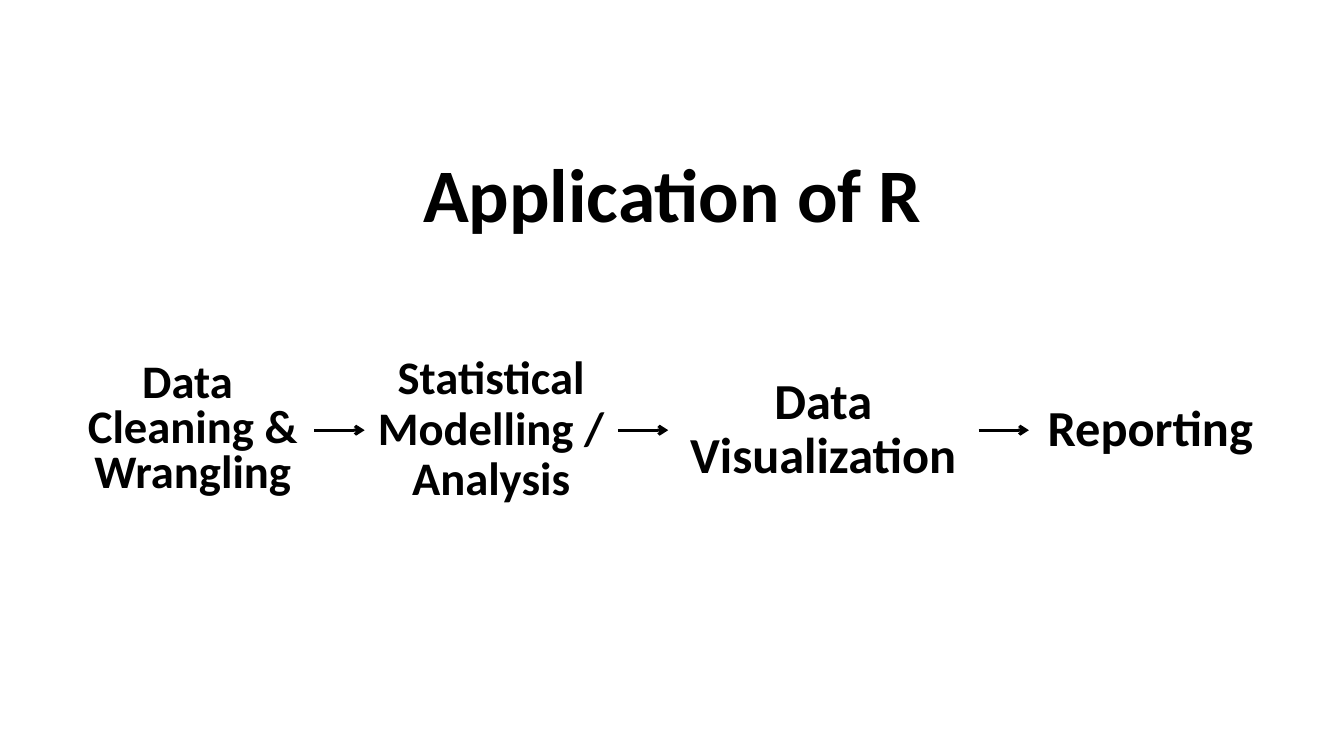
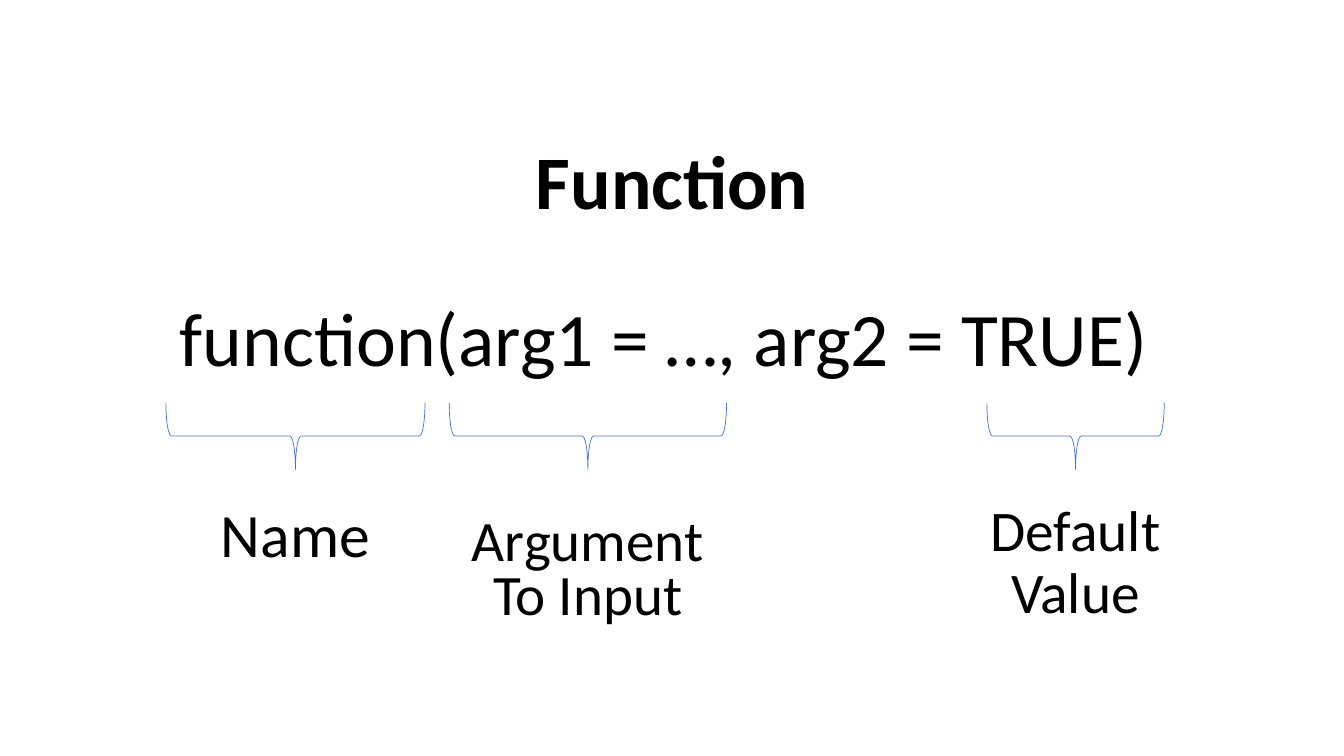
from dataclasses import dataclass

from pptx import Presentation
from pptx.dml.color import RGBColor
from pptx.enum.shapes import MSO_CONNECTOR, MSO_SHAPE
from pptx.enum.text import MSO_ANCHOR, PP_ALIGN
from pptx.oxml.ns import qn
from pptx.util import Cm, Pt
from lxml.etree import SubElement


@dataclass(frozen=True)
class Theme:
    font: str = "Calibri"
    ink: RGBColor = RGBColor(0x00, 0x00, 0x00)
    accent: RGBColor = RGBColor(0x44, 0x72, 0xC4)
    display: float = 54
    step_small: float = 33.3
    step_large: float = 36
    label_small: float = 40.8
    label_medium: float = 41
    label_large: float = 44
    arrow_width: float = 2.25
    brace_width: float = 0.5
    tight: float = 0.8
    normal: float = 0.9


@dataclass(frozen=True)
class Box:
    left: float
    top: float
    width: float
    height: float

    @property
    def lengths(self):
        return Cm(self.left), Cm(self.top), Cm(self.width), Cm(self.height)


THEME = Theme()
BAND_LEFT, BAND_WIDTH, BAND_HEIGHT = 2.34, 29.21, 3.68


def add_text(slide, box, lines, size, bold=False, spacing=THEME.normal):
    sp = slide.shapes.add_textbox(*box.lengths)
    tf = sp.text_frame
    tf.word_wrap = True
    tf.vertical_anchor = MSO_ANCHOR.MIDDLE
    for i, line in enumerate(lines):
        p = tf.add_paragraph() if i else tf.paragraphs[0]
        p.alignment = PP_ALIGN.CENTER
        p.line_spacing = spacing
        r = p.add_run()
        r.text = line
        r.font.name = THEME.font
        r.font.size = Pt(size)
        r.font.bold = bold
        r.font.color.rgb = THEME.ink
    return sp


def add_arrow(slide, start, end):
    cxn = slide.shapes.add_connector(MSO_CONNECTOR.STRAIGHT, 0, 0, 0, 0)
    cxn.begin_connect(start, 3)
    cxn.end_connect(end, 1)
    cxn.line.color.rgb = THEME.ink
    cxn.line.width = Pt(THEME.arrow_width)
    SubElement(cxn.line._get_or_add_ln(), qn("a:tailEnd")).set("type", "arrow")
    SubElement(cxn._element.spPr, qn("a:effectLst"))


def add_brace(slide, box):
    center_x, center_y = box.left + box.width / 2, box.top + box.height / 2
    upright = Box(center_x - box.height / 2, center_y - box.width / 2,
                  box.height, box.width)
    sp = slide.shapes.add_shape(MSO_SHAPE.RIGHT_BRACE, *upright.lengths)
    sp.rotation = 90
    sp.shadow.inherit = False
    sp.fill.background()
    sp.line.color.rgb = THEME.accent
    sp.line.width = Pt(THEME.brace_width)


def add_band(slide, top, text, bold=False):
    box = Box(BAND_LEFT, top, BAND_WIDTH, BAND_HEIGHT)
    add_text(slide, box, [text], THEME.display, bold)


def add_flow(slide, box, steps, gap=1.27):
    left, previous = box.left, None
    for lines, width, height, size, spacing in steps:
        top = box.top + (box.height - height) / 2
        step = add_text(slide, Box(left, top, width, height), lines, size, True, spacing)
        if previous is not None:
            add_arrow(slide, previous, step)
        previous = step
        left += width + gap


def add_callout(slide, box, lines, label_width, label_height, size,
                spacing=THEME.normal, label_gap=0.54):
    add_brace(slide, box)
    label = Box(box.left + (box.width - label_width) / 2,
                box.top + box.height + label_gap, label_width, label_height)
    add_text(slide, label, lines, size, spacing=spacing)


def build_application(slide):
    t = THEME
    add_band(slide, 3.15, "Application of R", True)
    add_flow(slide, Box(1.8, 8.59, 30.25, 4.5), [
        (["Data ", "Cleaning &", "Wrangling"], 6.12, 3.68, t.step_small, t.tight),
        (["Statistical", "Modelling /", "Analysis"], 6.38, 4.5, t.step_small, t.normal),
        (["Data", "Visualization"], 7.82, 3.68, t.step_large, t.normal),
        (["Reporting"], 6.12, 3.68, t.step_large, t.normal),
    ])


def build_function(slide):
    t = THEME
    add_band(slide, 2.82, "Function", True)
    add_band(slide, 6.78, "function(arg1 = …, arg2 = TRUE) ")
    callouts = [
        (4.18, 6.53, ["Name"], 5.11, 2.34, t.label_large, t.normal),
        (11.32, 6.99, ["Argument", "To Input"], 6.99, 4.09, t.label_small, t.tight),
        (24.87, 4.47, ["Default", "Value"], 6.99, 3.68, t.label_medium, t.normal),
    ]
    for left, width, *label in callouts:
        add_callout(slide, Box(left, 10.15, width, 1.68), *label)


def main():
    prs = Presentation()
    prs.slide_width, prs.slide_height = Cm(33.87), Cm(19.05)
    for build in (build_application, build_function):
        build(prs.slides.add_slide(prs.slide_layouts[6]))
    prs.save("out.pptx")


if __name__ == "__main__":
    main()
